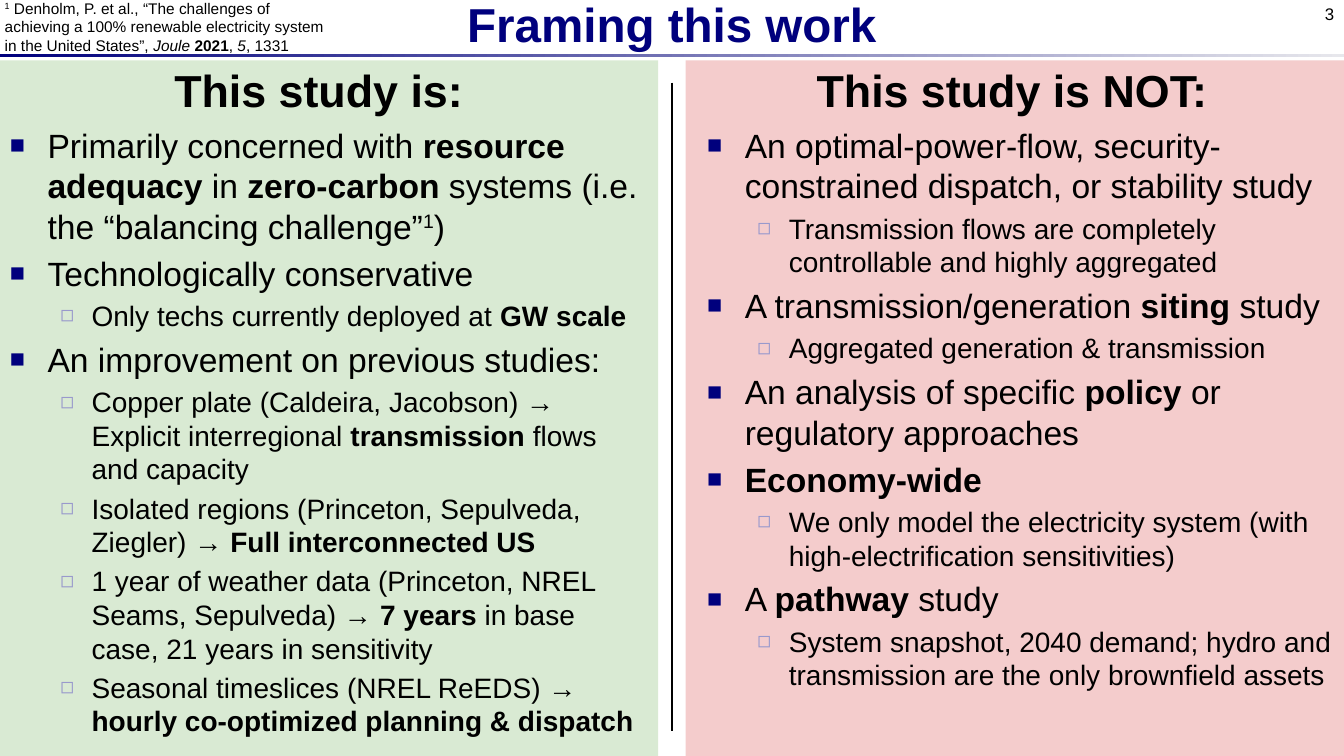
"""Builds the slide that frames what the study is and is not."""
from lxml.etree import SubElement
from pptx import Presentation
from pptx.dml.color import RGBColor
from pptx.enum.shapes import MSO_CONNECTOR, MSO_SHAPE
from pptx.enum.text import MSO_ANCHOR, PP_ALIGN
from pptx.oxml.ns import qn
from pptx.util import Cm, Pt

NAVY = RGBColor(0x00, 0x00, 0x7D)
LILAC = RGBColor(0x99, 0x99, 0xCC)
MIST = RGBColor(0xE7, 0xE7, 0xEC)
GREEN = RGBColor(0xD9, 0xEA, 0xD3)
PINK = RGBColor(0xF4, 0xCC, 0xCC)
BLACK = RGBColor(0x00, 0x00, 0x00)

TITLE = "Framing this work"
PAGE = "3"
BOLD, ITALIC, RAISED = "bold", "italic", "raised"
CITATION = [
    ("1", RAISED),
    " Denholm, P. et al., “The challenges of achieving a 100% renewable electricity system in the United States”, ",
    ("Joule ", ITALIC), ("2021", BOLD), ", ", ("5", ITALIC), ", 1331",
]
STUDY_IS = [
    (0, ["Primarily concerned with ", ("resource adequacy", BOLD), " in ", ("zero-carbon", BOLD),
         " systems (i.e. the “balancing challenge”", ("1", RAISED), ")"]),
    (0, ["Technologically conservative"]),
    (1, ["Only techs currently deployed at ", ("GW scale", BOLD)]),
    (0, ["An improvement on previous studies:"]),
    (1, ["Copper plate (Caldeira, Jacobson) → Explicit interregional ",
         ("transmission ", BOLD), "flows and capacity"]),
    (1, ["Isolated regions (Princeton, Sepulveda, Ziegler) → ", ("Full interconnected US", BOLD)]),
    (1, ["1 year of weather data (Princeton, NREL Seams, Sepulveda) → ",
         ("7 years", BOLD), " in base case, 21 years in sensitivity"]),
    (1, ["Seasonal timeslices (NREL ReEDS) → ", ("hourly co-optimized planning & dispatch", BOLD)]),
]
STUDY_IS_NOT = [
    (0, ["An optimal-power-flow, security-constrained dispatch, or stability study"]),
    (1, ["Transmission flows are completely controllable and highly aggregated"]),
    (0, ["A transmission/generation ", ("siting", BOLD), " study"]),
    (1, ["Aggregated generation & transmission"]),
    (0, ["An analysis of specific ", ("policy", BOLD), " or regulatory approaches"]),
    (0, [("Economy-wide", BOLD)]),
    (1, ["We only model the electricity system (with high-electrification sensitivities)"]),
    (0, ["A ", ("pathway", BOLD), " study"]),
    (1, ["System snapshot, 2040 demand; hydro and transmission are the only brownfield assets"]),
]
LEVELS = [
    {"size": 24, "indent": Cm(0.95), "hang": Cm(0.95), "mark": "■", "color": NAVY, "scale": 75},
    {"size": 20, "indent": Cm(2.06), "hang": Cm(0.79), "mark": "◻", "color": LILAC, "scale": 80},
]

SLIDE_W, SLIDE_H = Cm(33.87), Cm(19.05)
PANEL_W, PANEL_TOP = Cm(16.59), Cm(1.52)
LIST_W, LIST_TOP = Cm(16.36), Cm(3.02)
COLUMNS = [
    {"heading": "This study is:", "items": STUDY_IS, "fill": GREEN,
     "panel": Cm(0), "list": Cm(0), "heading_at": (Cm(4.11), Cm(7.85))},
    {"heading": "This study is NOT:", "items": STUDY_IS_NOT, "fill": PINK,
     "panel": SLIDE_W - PANEL_W, "list": Cm(17.57), "heading_at": (Cm(20.29), Cm(10.44))},
]


def add_bar(slide, left, top, width, height):
    bar = slide.shapes.add_shape(MSO_SHAPE.RECTANGLE, left, top, width, height)
    bar.shadow.inherit = False
    bar.line.fill.background()
    return bar


def add_frame(slide, left, top, width, height, wrap=True, anchor=MSO_ANCHOR.TOP):
    frame = slide.shapes.add_textbox(left, top, width, height).text_frame
    frame.word_wrap = wrap
    frame.vertical_anchor = anchor
    return frame


def write(paragraph, pieces, size, color=BLACK, bold=False, align=PP_ALIGN.LEFT):
    paragraph.alignment = align
    for piece in pieces:
        wording, style = (piece, None) if isinstance(piece, str) else piece
        run = paragraph.add_run()
        run.text = wording
        look = {"name": "Arial", "size": Pt(size), "bold": bold or style == BOLD,
                "italic": style == ITALIC}
        for key, value in look.items():
            setattr(run.font, key, value)
        run.font.color.rgb = color
        if style == RAISED:
            run.font._element.set("baseline", "30000")


def add_bullet(paragraph, level):
    props = paragraph._p.get_or_add_pPr()
    props.set("marL", str(level["indent"]))
    props.set("indent", str(-level["hang"]))
    tint = SubElement(props, qn("a:buClr"))
    SubElement(tint, qn("a:srgbClr"), val=str(level["color"]))
    SubElement(props, qn("a:buSzPct"), val=str(level["scale"] * 1000))
    SubElement(props, qn("a:buFont"), typeface="Arial")
    SubElement(props, qn("a:buChar"), char=level["mark"])


def add_column(slide, column):
    panel = add_bar(slide, column["panel"], PANEL_TOP, PANEL_W, SLIDE_H - PANEL_TOP)
    panel.fill.solid()
    panel.fill.fore_color.rgb = column["fill"]

    left, width = column["heading_at"]
    heading = add_frame(slide, left, Cm(1.45), width, Cm(1.62), wrap=False)
    write(heading.paragraphs[0], [column["heading"]], 32, bold=True, align=PP_ALIGN.CENTER)

    points = add_frame(slide, column["list"], LIST_TOP, LIST_W, SLIDE_H - LIST_TOP)
    for index, (depth, pieces) in enumerate(column["items"]):
        level = LEVELS[depth]
        paragraph = points.add_paragraph() if index else points.paragraphs[0]
        add_bullet(paragraph, level)
        if index:
            paragraph.space_before = Pt(level["size"] * 0.2)
        paragraph.level = depth
        write(paragraph, pieces, level["size"])


def main():
    """Lays out the slide and saves it."""
    deck = Presentation()
    deck.slide_width, deck.slide_height = SLIDE_W, SLIDE_H
    slide = deck.slides.add_slide(deck.slide_layouts[6])

    rule = add_bar(slide, 0, Cm(1.35), SLIDE_W, Cm(0.1))
    rule.fill.gradient()
    rule.fill.gradient_angle = 0
    for stop, color in zip(rule.fill.gradient_stops, (NAVY, MIST)):
        stop.color.rgb = color

    for column in COLUMNS:
        add_column(slide, column)

    title = add_frame(slide, 0, 0, SLIDE_W, Cm(1.17), anchor=MSO_ANCHOR.MIDDLE)
    write(title.paragraphs[0], [TITLE], 34, NAVY, True, PP_ALIGN.CENTER)
    page = add_frame(slide, Cm(31.47), 0, Cm(2.4), Cm(0.74), anchor=MSO_ANCHOR.BOTTOM)
    write(page.paragraphs[0], [PAGE], 12, align=PP_ALIGN.RIGHT)
    citation = add_frame(slide, Cm(-0.13), Cm(-0.15), Cm(8.59), Cm(1.68))
    write(citation.paragraphs[0], CITATION, 11)

    middle = SLIDE_W // 2
    divider = slide.shapes.add_connector(MSO_CONNECTOR.STRAIGHT, middle, Cm(2.08), middle, Cm(18.42))
    divider.line.color.rgb = BLACK
    divider.line.width = Pt(1.5)
    SubElement(divider._element.spPr, qn("a:effectLst"))

    deck.save("out.pptx")


if __name__ == "__main__":
    main()
